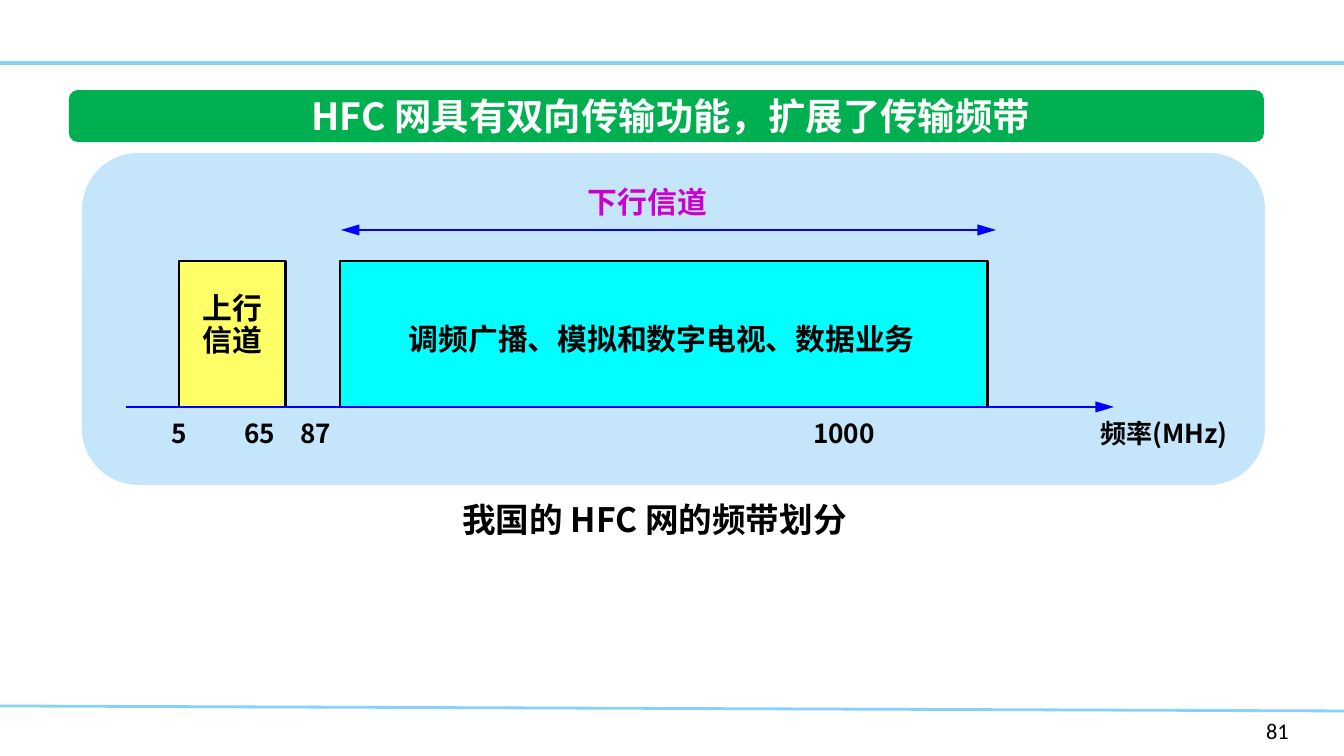
from lxml import etree
from pptx import Presentation
from pptx.dml.color import RGBColor
from pptx.enum.shapes import MSO_CONNECTOR, MSO_SHAPE
from pptx.enum.text import MSO_ANCHOR, PP_ALIGN
from pptx.oxml.ns import qn
from pptx.util import Pt

PX = 914400 / 134.4
CJK_FONT = "Noto Sans CJK SC"
STRAIGHT = MSO_CONNECTOR.STRAIGHT
RECT, ROUNDED = MSO_SHAPE.RECTANGLE, MSO_SHAPE.ROUNDED_RECTANGLE
MIDDLE, CENTER, LEFT = MSO_ANCHOR.MIDDLE, PP_ALIGN.CENTER, PP_ALIGN.LEFT

BLACK = RGBColor(0x00, 0x00, 0x00)
WHITE = RGBColor(0xFF, 0xFF, 0xFF)
SKY = RGBColor(0x85, 0xD1, 0xF7)
GREEN = RGBColor(0x00, 0xB0, 0x50)
PALE_BLUE = RGBColor(0xC5, 0xE5, 0xFB)
YELLOW = RGBColor(0xFF, 0xFF, 0x66)
CYAN = RGBColor(0x00, 0xFF, 0xFF)
BLUE = RGBColor(0x00, 0x00, 0xFF)
MAGENTA = RGBColor(0xCC, 0x00, 0xCC)

prs = Presentation()
prs.slide_width, prs.slide_height = round(1344 * PX), round(756 * PX)
slide = prs.slides.add_slide(prs.slide_layouts[6])


def add_line(x1, y1, x2, y2, color, width, arrow_ends=()):
    """Draw a line; arrow_ends may hold headEnd and tailEnd, in that order."""
    ends = [round(v * PX) for v in (x1, y1, x2, y2)]
    line = slide.shapes.add_connector(STRAIGHT, *ends)
    line.line.color.rgb = color
    line.line.width = Pt(width)
    outline = line.line._get_or_add_ln()
    for end in arrow_ends:
        etree.SubElement(outline, qn(f"a:{end}"), type="triangle", w="med", len="lg")
    etree.SubElement(line._element.spPr, qn("a:effectLst"))


def add_text(text, x, y, w, h, size, color=BLACK, align=CENTER,
             font=CJK_FONT, bold=True, spacing=None):
    box = slide.shapes.add_textbox(*[round(v * PX) for v in (x, y, w, h)])
    frame = box.text_frame
    frame.word_wrap = True
    frame.vertical_anchor = MIDDLE
    frame.text = text
    for paragraph in frame.paragraphs:
        paragraph.alignment = align
        paragraph.line_spacing = spacing
        paragraph.font.name = font
        paragraph.font.size = Pt(size)
        paragraph.font.bold = bold
        paragraph.font.color.rgb = color
        defaults = paragraph._p.pPr.find(qn("a:defRPr"))
        etree.SubElement(defaults, qn("a:ea"), typeface=font)


# Page frame
add_line(0, 706, 1344, 711, SKY, 1.5)
add_line(0, 63, 1344, 63, SKY, 2)

# Title banner, diagram panel, upstream and downstream bands
for kind, x, y, w, h, fill, corner in (
    (ROUNDED, 69, 90, 1195, 52, GREEN, 0.17),
    (ROUNDED, 82, 153, 1183, 332, PALE_BLUE, 0.17),
    (RECT, 179, 261, 107, 146, YELLOW, None),
    (RECT, 340, 261, 648, 146, CYAN, None),
):
    block = slide.shapes.add_shape(kind, *[round(v * PX) for v in (x, y, w, h)])
    block.shadow.inherit = False
    block.fill.solid()
    block.fill.fore_color.rgb = fill
    if corner:
        block.adjustments[0] = corner
        block.line.fill.background()
    else:
        block.line.color.rgb = BLACK
        block.line.width = Pt(1.5)

add_text("HFC 网具有双向传输功能，扩展了传输频带", 184, 90, 974, 52, 20, WHITE)

# Downstream range and frequency axis
add_line(341, 230, 996, 230, BLUE, 1.5, ("headEnd", "tailEnd"))
add_line(126, 407, 1114, 407, BLUE, 1.5, ("tailEnd",))

add_text("下行信道", 566, 175, 163, 54, 16, MAGENTA)
add_text("上行\n信道", 179, 286, 107, 79, 16, spacing=0.9)
add_text("调频广播、模拟和数字电视、数据业务", 342, 314, 640, 50, 16)

for frequency, center in (("5", 179), ("65", 260), ("87", 316), ("1000", 844)):
    add_text(frequency, center - 50, 410, 100, 46, 14)
add_text("频率(MHz)", 1074, 410, 180, 46, 14)

add_text("我国的 HFC 网的频带划分", 430, 492, 449, 54, 18)
add_text("81", 1253, 711, 82, 40, 12, align=LEFT, font="Calibri", bold=False)

prs.save("out.pptx")
